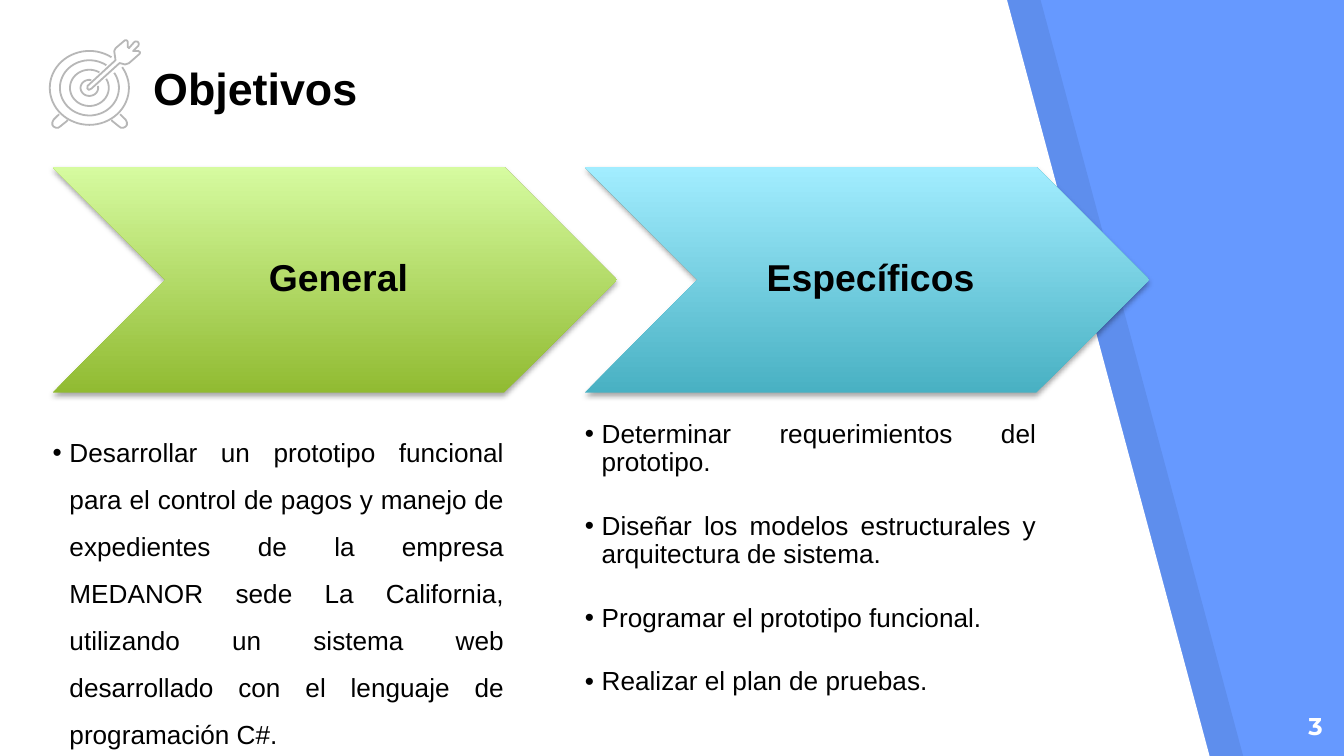
from math import cos, radians, sin
from lxml import etree
from pptx import Presentation
from pptx import util as u
from pptx.dml.color import RGBColor
from pptx.enum import shapes, text
from pptx.oxml import parse_xml
from pptx.oxml.ns import nsdecls, qn

Pt = u.Pt
ALIGN, ANCHOR = text.PP_ALIGN, text.MSO_ANCHOR

# Content
TITLE = "Objetivos"
PAGE = "3"
GOALS = [
    {"name": "General", "dark": "lime", "light": "pale lime", "pitch": 1.5,
     "items": ["Desarrollar un prototipo funcional para el control de pagos y "
               "manejo de expedientes de la empresa MEDANOR sede La California, "
               "utilizando un sistema web desarrollado con el lenguaje de "
               "programación C#."]},
    {"name": "Específicos", "dark": "teal", "light": "pale teal", "pitch": 0.9,
     "items": ["Determinar requerimientos del prototipo.",
               "Diseñar los modelos estructurales y arquitectura de sistema.",
               "Programar el prototipo funcional.",
               "Realizar el plan de pruebas."]},
]
COLORS = {
    "blue": "6699FF", "white": "FFFFFF", "black": "000000", "gray": "B7B7B7",
    "lime": "91BB32", "pale lime": "D6FBA0",
    "teal": "49B1C3", "pale teal": "A2EDFF",
}

# Target icon, in points: rings are (x radius, y radius, gap start, gap end)
HUB = (47.9, 47.1)
RINGS = [(21.2, 19.8, 34, 56), (15.8, 14.8, 33, 55),
         (10.4, 9.7, 30, 59), (4.7, 4.3, 14, 77)]
FOOT = [(31.7, 61.2), (28.8, 64.1), (28.1, 65.5), (28.1, 67), (28.8, 67.9),
        (30, 68.5), (31.2, 68.5), (32.4, 67.7), (36, 64.8), (36.2, 64.2)]
DART = [(74.2, 27.4), (71.3, 27.4), (74.2, 24.5), (74.4, 23.3), (73.8, 22.4),
        (72.7, 22.2), (72, 22.5), (69.1, 25.8), (68.4, 25.2), (68.4, 22.3),
        (67.9, 21.6), (66.9, 21.6), (61.9, 25.9), (61.2, 27.4), (61.9, 32.3),
        (46.9, 46.1), (46.8, 47.5), (47.6, 48.2), (49, 47.5), (64.1, 33.8),
        (67, 34.6), (69.1, 33.9), (74.9, 28.8), (75, 28)]


def color(name):
    return RGBColor.from_string(COLORS[name])


def trace(pts, close=False):
    pts = [(Pt(x), Pt(y)) for x, y in pts]
    pen = slide.shapes.build_freeform(*pts[0], scale=1.0)
    pen.add_line_segments(pts[1:], close=close)
    shape = pen.convert_to_shape()
    shape.shadow.inherit = False
    return shape


def sketch(pts, close=False):
    shape = trace(pts, close)
    shape.fill.background()
    shape.line.color.rgb = color("gray")
    shape.line.width = Pt(0.96)


def place(shape, x, y, w, h):
    shape.left, shape.top, shape.width, shape.height = map(Pt, (x, y, w, h))


def frame(shape, pads, anchor):
    box = shape.text_frame
    box.word_wrap = True
    box.auto_size = text.MSO_AUTO_SIZE.NONE
    box.vertical_anchor = anchor
    box.margin_left, box.margin_top, box.margin_right, box.margin_bottom = map(Pt, pads)
    return box


def style(para, size, align, bold=False, face="Arial", tint="black"):
    para.alignment = align
    for run in para.runs:
        font = run.font
        font.size, font.bold, font.name = Pt(size), bold, face
        font.color.rgb = color(tint)


def bullet(para):
    props = para._p.get_or_add_pPr()
    props.set("marL", str(Pt(9)))
    props.set("indent", str(-Pt(9)))
    etree.SubElement(props, qn("a:buFont")).set("typeface", "Arial")
    etree.SubElement(props, qn("a:buChar")).set("char", "•")


deck = Presentation()
deck.slide_width, deck.slide_height = Pt(720), Pt(405)
slide = deck.slides.add_slide(deck.slide_layouts[3])
title, *bodies = slide.placeholders

# Blue ground, soft band and white panel, all behind the title
slide.background.fill.solid()
slide.background.fill.fore_color.rgb = color("blue")
for left, tint in ((18, "black"), (0, "white")):
    panel = trace([(left, 0), (left, 405), (left + 648, 405), (left + 539.5, 0)], True)
    panel.fill.solid()
    panel.fill.fore_color.rgb = color(tint)
    panel.line.fill.background()
    title.element.addprevious(panel.element)
    if tint == "black":
        hue = panel.element.spPr.find(".//" + qn("a:srgbClr"))
        etree.SubElement(hue, qn("a:alpha")).set("val", "7000")

# Title
place(title, 74.9, 9.4, 427, 59)
box = frame(title, [7.2] * 4, ANCHOR.BOTTOM)
box.text = TITLE
style(box.paragraphs[0], 24, ALIGN.LEFT, bold=True)

# Target icon
for rx, ry, low, high in RINGS:
    turns = [radians(high + (360 + low - high) * i / 60) for i in range(61)]
    sketch([(HUB[0] + rx * cos(t), HUB[1] - ry * sin(t)) for t in turns])
sketch(FOOT)
sketch([(2 * HUB[0] + 0.3 - x, y) for x, y in FOOT])
sketch(DART, close=True)

# Arrow and list for each goal
for i, (goal, body) in enumerate(zip(GOALS, bodies)):
    left = 28.2 + 285.1 * i
    arrow = slide.shapes.add_shape(shapes.MSO_SHAPE.CHEVRON, Pt(left), Pt(89.4),
                                   Pt(302.3), Pt(120.9))
    arrow.line.fill.background()
    arrow.fill.gradient()
    arrow.fill.gradient_angle = 90
    for stop, key in zip(arrow.fill.gradient_stops, ("dark", "light")):
        stop.color.rgb = color(goal[key])
    arrow.shadow.inherit = False
    arrow.element.spPr.find(qn("a:effectLst")).append(parse_xml(
        f'<a:outerShdw {nsdecls("a")} blurRad="{Pt(3.1)}" dist="{Pt(1.8)}" '
        f'dir="5400000" rotWithShape="0"><a:srgbClr val="{COLORS["black"]}">'
        '<a:alpha val="35000"/></a:srgbClr></a:outerShdw>'))
    box = frame(arrow, (6, 2, 2, 2), ANCHOR.MIDDLE)
    box.text = goal["name"]
    style(box.paragraphs[0], 20, ALIGN.CENTER, bold=True)
    box.paragraphs[0].line_spacing = 0.9

    place(body, left, 225.4, 241.9, 166.3)
    box = frame(body, [0] * 4, ANCHOR.TOP)
    box.text = "\n".join(goal["items"])
    for para in box.paragraphs:
        style(para, 14, ALIGN.JUSTIFY)
        para.line_spacing = goal["pitch"]
        para.space_before, para.space_after = Pt(0), Pt(19)
        bullet(para)

# Page number
note = slide.shapes.add_textbox(Pt(672.5), Pt(373.7), Pt(43.2), Pt(31))
box = frame(note, [7.2] * 4, ANCHOR.TOP)
box.text = PAGE
style(box.paragraphs[0], 13, ALIGN.RIGHT, True, "Montserrat", "white")

deck.save("out.pptx")
